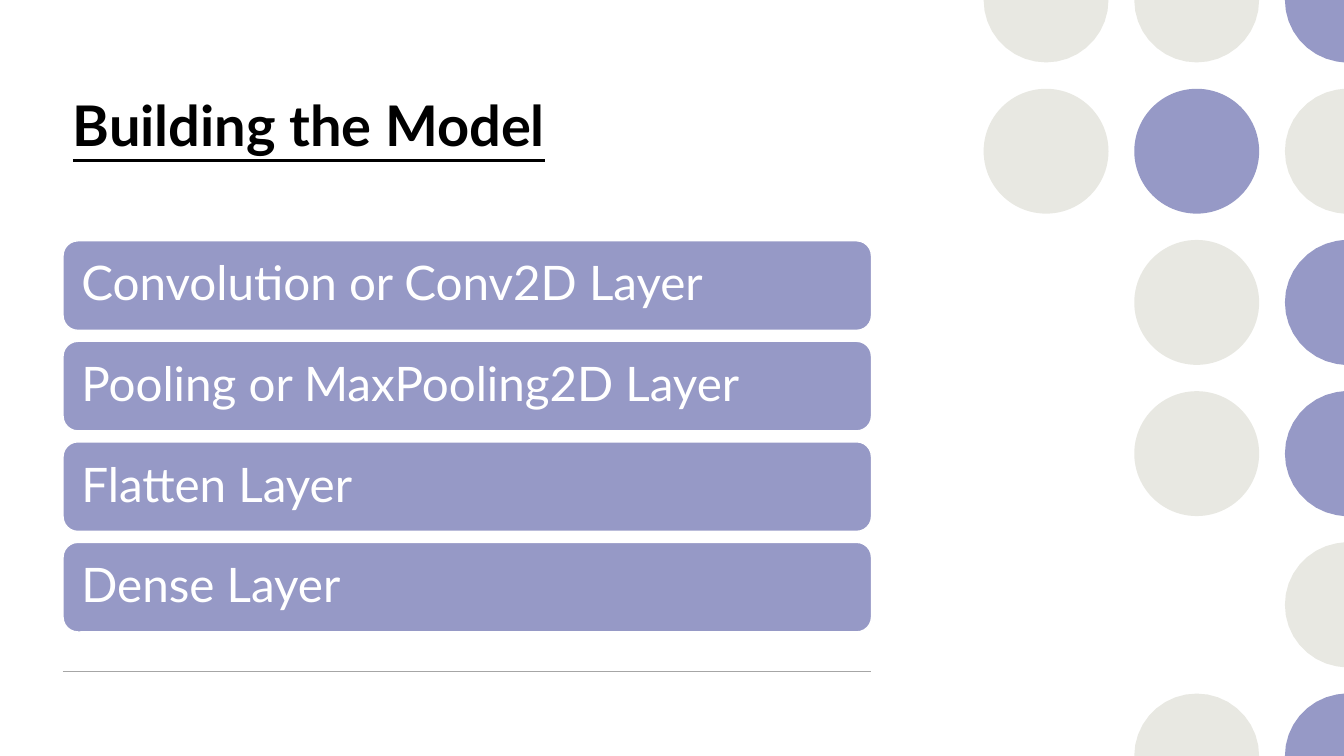
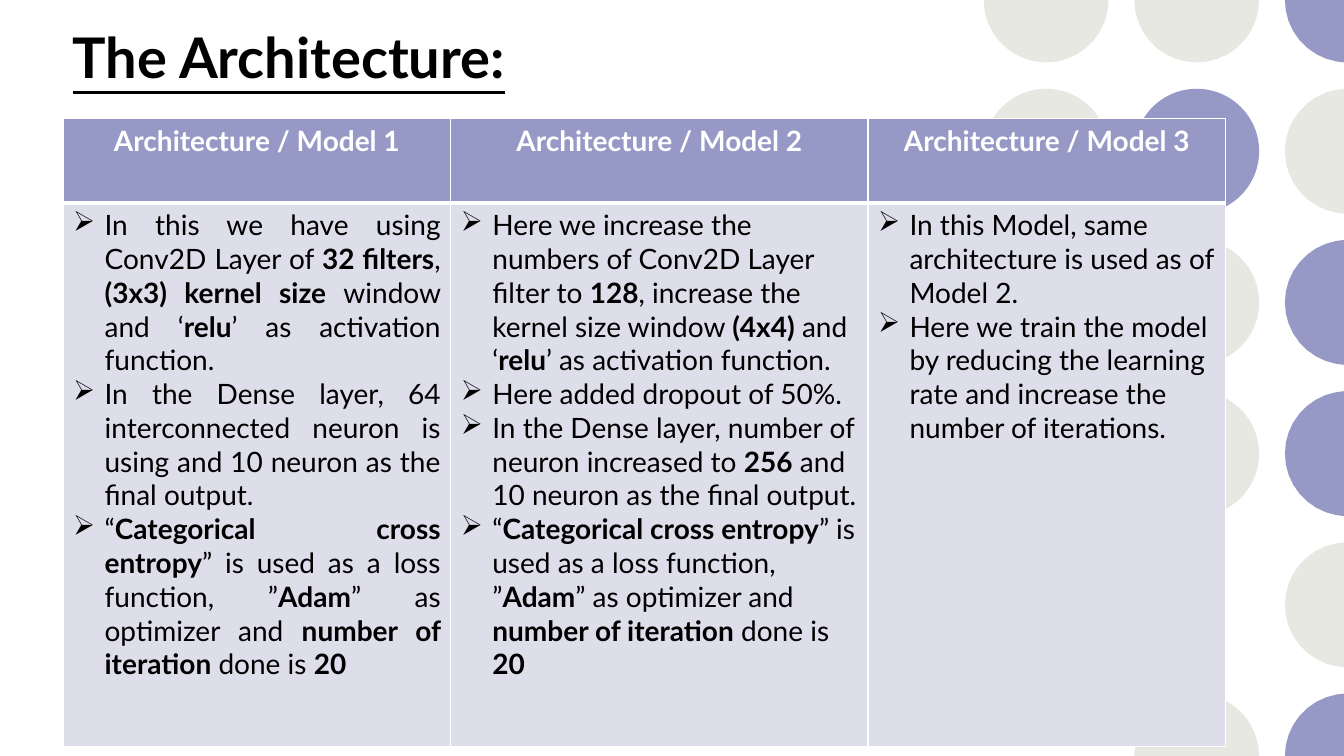
"""Build two slides on the layers and architectures of an image model."""
import math

from lxml import etree
from pptx import Presentation
from pptx.dml import color
from pptx.enum import shapes, text
from pptx.oxml import ns
from pptx.util import Pt

WIDTH, HEIGHT = 960, 540
LEFT, CONTENT_WIDTH = 45, 577.5
FONT = "Lato"
BLACK, WHITE, PURPLE, PALE, STONE, GREY = (
    "000000", "FFFFFF", "9699C6", "DDDEEA", "E8E8E2", "A6A6A6")

DOT_ROWS = ["SSP", "SPS", " SP", " SP", "  S", " SP"]
DOT_FILLS = {"S": STONE, "P": PURPLE}
DOT_LEFT, DOT_PITCH_X, DOT_PITCH_Y, DOT_RADIUS = 747.2, 107.6, 108, 44.6

LAYERS = ["Convolution or Conv2D Layer", "Pooling or MaxPooling2D Layer",
          "Flatten Layer", "Dense Layer"]
LOSS = ("“**Categorical cross entropy**” is used as a loss function, ”**Adam**” "
        "as optimizer and **number of iteration** done is **20**")
JUSTIFY, LEFT_ALIGN = text.PP_ALIGN.JUSTIFY, text.PP_ALIGN.LEFT
MODELS = [
    ("Architecture / Model 1", 277, JUSTIFY, [
        "In this we have using Conv2D Layer of **32 filters**, **(3x3) kernel size** "
        "window and ‘**relu**’ as activation function.",
        "In the Dense layer, 64 interconnected neuron is using and 10 neuron as the "
        "final output.",
        LOSS]),
    ("Architecture / Model 2", 298, LEFT_ALIGN, [
        "Here we increase the numbers of Conv2D Layer filter to **128**, increase the "
        "kernel size window **(4x4)** and ‘**relu**’ as activation function.",
        "Here added dropout of 50%.",
        "In the Dense layer, number of neuron increased to **256** and 10 neuron as "
        "the final output.",
        LOSS]),
    ("Architecture / Model 3", 255.5, LEFT_ALIGN, [
        "In this Model, same architecture is used as of Model 2.",
        "Here we train the model by reducing the learning rate and increase the "
        "number of iterations."]),
]


def rgb(value):
    """Return a colour from its hex string."""
    return color.RGBColor.from_string(value)


def paint(sp, fill, line=None):
    """Fill a shape and give it a thin outline or none."""
    sp.shadow.inherit = False
    sp.fill.solid()
    sp.fill.fore_color.rgb = rgb(fill)
    if line:
        sp.line.color.rgb = rgb(line)
        sp.line.width = Pt(1)
    else:
        sp.line.fill.background()


def set_font(p, size, value, bold=False):
    """Set the font of a paragraph."""
    p.font.name = FONT
    p.font.size = Pt(size)
    p.font.color.rgb = rgb(value)
    p.font.bold = bold


def clipped_arc(x, y):
    """Return the outline of the part of a dot that lies on the slide."""
    at_right, at_top, at_bottom = x + DOT_RADIUS > WIDTH, y == 0, y == HEIGHT
    first = 180 if at_bottom else 90 if at_right else 0
    last = 180 if at_top else 270 if at_right else 360
    angles = [math.radians(a) for a in range(first, last + 1, 10)]
    points = [(min(x + DOT_RADIUS * math.cos(a), WIDTH), y + DOT_RADIUS * math.sin(a))
              for a in angles]
    if at_right:
        points.append((WIDTH, y))
    return [(Pt(px), Pt(py)) for px, py in points]


def add_dot(s, x, y, fill):
    """Draw a circle around a centre, clipped at the slide edges."""
    r = DOT_RADIUS
    if x + r <= WIDTH and r <= y <= HEIGHT - r:
        sp = s.shapes.add_shape(shapes.MSO_SHAPE.OVAL, Pt(x - r), Pt(y - r),
                                Pt(2 * r), Pt(2 * r))
    else:
        points = clipped_arc(x, y)
        outline = s.shapes.build_freeform(*points[0])
        outline.add_line_segments(points[1:], close=True)
        sp = outline.convert_to_shape()
    paint(sp, fill)


def add_slide(prs, title, top):
    """Add a slide with the dot pattern and an underlined title."""
    s = prs.slides.add_slide(prs.slide_layouts[6])
    for row, marks in enumerate(DOT_ROWS):
        for col, mark in enumerate(marks):
            if mark in DOT_FILLS:
                add_dot(s, DOT_LEFT + col * DOT_PITCH_X, row * DOT_PITCH_Y,
                        DOT_FILLS[mark])
    tf = s.shapes.add_textbox(Pt(LEFT), Pt(top), Pt(CONTENT_WIDTH), Pt(57)).text_frame
    tf.word_wrap = True
    p = tf.paragraphs[0]
    p.text = title
    set_font(p, 40, BLACK, True)
    p.font.underline = True
    return s


def add_bar(s, top, label):
    """Add a rounded bar with a label."""
    sp = s.shapes.add_shape(shapes.MSO_SHAPE.ROUNDED_RECTANGLE, Pt(LEFT), Pt(top),
                            Pt(CONTENT_WIDTH), Pt(64))
    paint(sp, PURPLE, WHITE)
    tf = sp.text_frame
    tf.word_wrap = True
    tf.margin_left = tf.margin_right = Pt(10)
    tf.vertical_anchor = text.MSO_ANCHOR.MIDDLE
    p = tf.paragraphs[0]
    p.text = label
    p.alignment = LEFT_ALIGN
    p.line_spacing = 0.9
    set_font(p, 34, WHITE)


def add_rule(s, y):
    """Add a grey horizontal line as wide as the content."""
    line = s.shapes.add_connector(shapes.MSO_CONNECTOR.STRAIGHT, Pt(LEFT), Pt(y),
                                  Pt(LEFT + CONTENT_WIDTH), Pt(y))
    line.line.color.rgb = rgb(GREY)
    line.line.width = Pt(1)
    etree.SubElement(line._element.spPr, ns.qn("a:effectLst"))


def style_cell(cell, fill, top, bottom):
    """Give a cell white borders and a fill."""
    tc_pr = cell._tc.get_or_add_tcPr()
    for side, width in (("L", 1), ("R", 1), ("T", top), ("B", bottom)):
        ln = etree.SubElement(tc_pr, ns.qn(f"a:ln{side}"), w=str(Pt(width)))
        solid = etree.SubElement(ln, ns.qn("a:solidFill"))
        etree.SubElement(solid, ns.qn("a:srgbClr"), val=WHITE)
    cell.fill.solid()
    cell.fill.fore_color.rgb = rgb(fill)


def add_bullet(p, content, align):
    """Write a bulleted paragraph, with bold between double asterisks."""
    p.alignment = align
    p_pr = p._p.get_or_add_pPr()
    p_pr.set("marL", str(Pt(22.5)))
    p_pr.set("indent", str(-Pt(22.5)))
    etree.SubElement(p_pr, ns.qn("a:buChar"), char="➢")
    for i, part in enumerate(content.split("**")):
        if part:
            r = p.add_run()
            r.text = part
            set_font(r, 20, BLACK, i % 2 == 1)


def add_model_table(s, top, heights):
    """Add the table with one column for each model."""
    width = sum(model[1] for model in MODELS)
    table = s.shapes.add_table(2, len(MODELS), Pt(LEFT), Pt(top), Pt(width),
                               Pt(sum(heights))).table
    for row, height in zip(table.rows, heights):
        row.height = Pt(height)
    for col, (name, col_width, align, points) in enumerate(MODELS):
        table.columns[col].width = Pt(col_width)
        head, body = table.cell(0, col), table.cell(1, col)
        style_cell(head, PURPLE, 1, 3)
        style_cell(body, PALE, 3, 1)
        p = head.text_frame.paragraphs[0]
        p.text = name
        p.alignment = text.PP_ALIGN.CENTER
        set_font(p, 20, WHITE, True)
        tf = body.text_frame
        for i, point in enumerate(points):
            add_bullet(tf.add_paragraph() if i else tf.paragraphs[0], point, align)


def main():
    """Build and save the presentation."""
    prs = Presentation()
    prs.slide_width, prs.slide_height = Pt(WIDTH), Pt(HEIGHT)

    s = add_slide(prs, "Building the Model", 61)
    for i, label in enumerate(LAYERS):
        add_bar(s, 172 + i * 71.8, label)
    add_rule(s, 479.5)

    s = add_slide(prs, "The Architecture:", 12.5)
    add_model_table(s, 84.5, [60.5, 388])

    prs.save("out.pptx")


if __name__ == "__main__":
    main()
